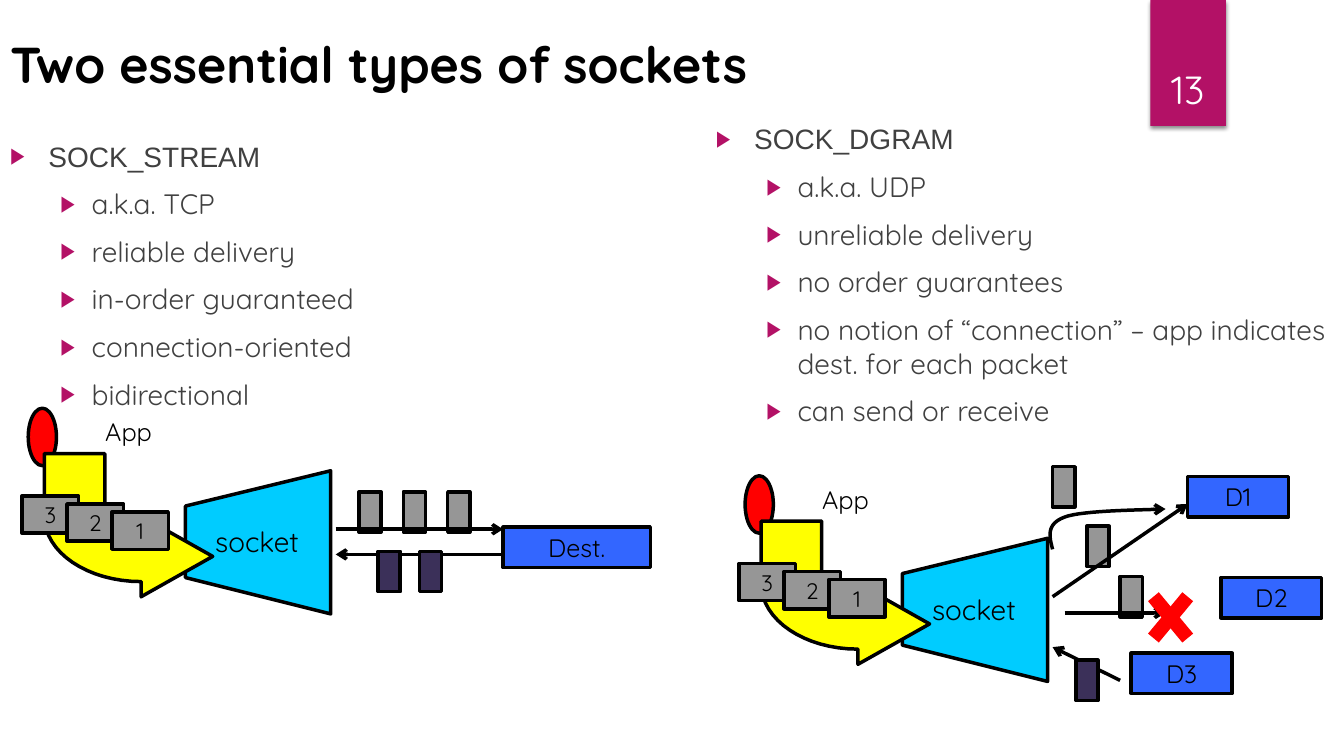
"""Build a slide comparing stream and datagram sockets."""
from lxml import etree
from pptx import Presentation
from pptx import util as u
from pptx.dml.color import RGBColor
from pptx.enum import shapes, text
from pptx.oxml.ns import qn

BLACK, GRAY, NAVY, BLUE = "000000", "969696", "3B3059", "3366FF"
RED, YELLOW, CYAN, MAGENTA, WHITE = "FF0000", "FFFF00", "00CCFF", "B31166", "FFFFFF"
RECT, OVAL = shapes.MSO_SHAPE.RECTANGLE, shapes.MSO_SHAPE.OVAL
MIDDLE, CENTER = text.MSO_ANCHOR.MIDDLE, text.PP_ALIGN.CENTER


def rgb(code):
    return RGBColor.from_string(code)


def sub(parent, tag, **attrs):
    return etree.SubElement(parent, qn(tag), attrs)


def curve(p0, p1, p2, p3, steps=16):
    points = []
    for i in range(1, steps + 1):
        t = i / steps
        weights = ((1 - t) ** 3, 3 * t * (1 - t) ** 2, 3 * t * t * (1 - t), t ** 3)
        points.append(tuple(sum(w * p[axis] for w, p in zip(weights, (p0, p1, p2, p3)))
                            for axis in (0, 1)))
    return points


class Deck:
    font = "Quicksand"
    stroke = 2.5

    def __init__(self):
        self.prs = Presentation()
        self.prs.slide_width, self.prs.slide_height = u.Inches(13.33), u.Inches(7.5)
        self.s = self.prs.slides.add_slide(self.prs.slide_layouts[3])
        self.shapes = self.s.shapes

    def group(self):
        self.shapes = self.s.shapes.add_group_shape().shapes

    def style_runs(self, p, size, color=BLACK, font=None, bold=False):
        for r in p.runs:
            r.font.name, r.font.size, r.font.bold = font or self.font, u.Pt(size), bold
            r.font.color.rgb = rgb(color)

    def place(self, sp, box):
        sp.left, sp.top, sp.width, sp.height = map(u.Inches, box)

    def title(self, box, wording):
        sp = self.s.shapes.title
        self.place(sp, box)
        tf = sp.text_frame
        tf.text = wording
        tf.auto_size, tf.vertical_anchor = text.MSO_AUTO_SIZE.NONE, MIDDLE
        tf.paragraphs[0].alignment = text.PP_ALIGN.LEFT
        self.style_runs(tf.paragraphs[0], 36, bold=True)

    def bullets(self, idx, box, items):
        sp = self.s.placeholders[idx]
        self.place(sp, box)
        tf = sp.text_frame
        tf.text = "\n".join(items)
        tf.auto_size = text.MSO_AUTO_SIZE.NONE
        for i, p in enumerate(tf.paragraphs):
            p.level = min(i, 1)
            p.space_before = u.Pt(10)
            self.style_runs(p, 20, "404040", None if i else "Arial")
            margin, indent = (0.81, -0.31) if i else (0.38, -0.38)
            pPr = p._p.get_or_add_pPr()
            pPr.set("marL", str(u.Inches(margin)))
            pPr.set("indent", str(u.Inches(indent)))
            sub(sub(pPr, "a:buClr"), "a:srgbClr", val=MAGENTA)
            sub(pPr, "a:buSzPct", val="80000")
            sub(pPr, "a:buChar", char="▶")

    def caption(self, sp, wording, size, color=BLACK, anchor=MIDDLE):
        tf = sp.text_frame
        tf.word_wrap, tf.vertical_anchor = True, anchor
        tf.margin_top = tf.margin_bottom = u.Inches(0.05 if anchor != MIDDLE else 0)
        tf.text = wording
        tf.paragraphs[0].alignment = CENTER
        self.style_runs(tf.paragraphs[0], size, color)

    def label(self, box, wording, size, color=BLACK, anchor=MIDDLE):
        sp = self.shapes.add_textbox(*map(u.Inches, box))
        self.caption(sp, wording, size, color, anchor)

    def outline(self, sp, color=BLACK, width=stroke, arrow=False):
        sp.line.color.rgb, sp.line.width = rgb(color), u.Pt(width)
        if arrow:
            sub(sp.element.spPr.find(qn("a:ln")), "a:tailEnd", type="arrow")

    def shape(self, box, fill, wording=None, size=18, kind=RECT):
        sp = self.shapes.add_shape(kind, *map(u.Inches, box))
        sp.shadow.inherit = False
        sp.fill.solid()
        sp.fill.fore_color.rgb = rgb(fill)
        self.outline(sp)
        if wording:
            self.caption(sp, wording, size)
        return sp

    def banner(self, box, fill):
        sp = self.shape(box, fill)
        sp.line.fill.background()
        effects = sp.element.spPr.find(qn("a:effectLst"))
        shadow = sub(effects, "a:outerShdw", blurRad=str(u.Pt(3)), dist=str(u.Pt(2)),
                     dir="5400000", rotWithShape="0")
        sub(sub(shadow, "a:srgbClr", val=BLACK), "a:alpha", val="45000")

    def freeform(self, points, fill=None):
        pts = [(u.Inches(x), u.Inches(y)) for x, y in points]
        builder = self.shapes.build_freeform(*pts[0])
        builder.add_line_segments(pts[1:], close=bool(fill))
        sp = builder.convert_to_shape()
        sp.shadow.inherit = False
        if fill:
            sp.fill.solid()
            sp.fill.fore_color.rgb = rgb(fill)
        else:
            sp.fill.background()
        self.outline(sp, arrow=not fill)

    def line(self, start, end, color=BLACK, width=stroke, arrow=True):
        sp = self.shapes.add_connector(shapes.MSO_CONNECTOR.STRAIGHT,
                                       *map(u.Inches, start + end))
        self.outline(sp, color, width, arrow)
        sub(sp.element.spPr, "a:effectLst")

    def packet(self, x, y, fill=GRAY):
        self.shape((x, y, 0.22, 0.4), fill)

    def sender(self, dx, dy):
        def shift(points):
            return [(x + dx, y + dy) for x, y in points]

        self.shape((0.28 + dx, 4.05 + dy, 0.28, 0.57), RED, kind=OVAL)
        self.label((0.22 + dx, 4.08 + dy, 2.11, 0.4), "App", 18)
        self.freeform(shift([(3.28, 4.67), (1.84, 5.02), (1.84, 5.73), (3.28, 6.09)]), CYAN)
        self.label((1.33 + dx, 5.16 + dy, 2.44, 0.43), "socket", 20)
        outer = curve((1.4, 5.77), (0.87, 5.77), (0.44, 5.48), (0.44, 5.12))
        inner = curve((1.04, 5.12), (1.04, 5.2), (1.2, 5.27), (1.4, 5.27))
        self.freeform(shift([(2.11, 5.52), (1.4, 5.92), (1.4, 5.77), *outer, (0.44, 4.5),
                             (1.04, 4.5), (1.04, 5.12), *inner, (1.4, 5.12)]), YELLOW)
        for i, number in enumerate("321"):
            self.shape((0.22 + 0.445 * i + dx, 4.92 + 0.08 * i + dy, 0.56, 0.37),
                       GRAY, number, 16)


def main():
    d = Deck()
    d.banner((11.41, 0, 0.75, 1.25), MAGENTA)
    d.label((11.32, 0.32, 0.92, 0.84), "13", 28, WHITE, text.MSO_ANCHOR.BOTTOM)
    d.title((0, 0, 11.33, 1.25), "Two essential types of sockets")
    d.bullets(1, (0, 1.33, 5.56, 5.59), [
        "SOCK_STREAM", "a.k.a. TCP", "reliable delivery", "in-order guaranteed",
        "connection-oriented", "bidirectional"])
    d.bullets(2, (7, 1.16, 6.33, 5.75), [
        "SOCK_DGRAM", "a.k.a. UDP", "unreliable delivery", "no order guarantees",
        "no notion of “connection” – app indicates dest. for each packet",
        "can send or receive"])

    d.group()
    d.sender(0, 0)
    for x in (3.56, 4, 4.44):
        d.packet(x, 4.88)
    d.line((3.33, 5.25), (4.99, 5.25))
    d.shape((4.99, 5.23, 1.46, 0.4), BLUE, "Dest.")
    d.line((4.99, 5.5), (3.33, 5.5))
    for x in (3.75, 4.16):
        d.packet(x, 5.47, NAVY)

    d.group()
    d.sender(7.11, 0.67)
    for x, y in ((10.44, 4.63), (10.78, 5.22), (11.11, 5.72)):
        d.packet(x, y)
    d.line((10.44, 5.92), (11.78, 5))
    for x, y, name in ((11.78, 4.73, "D1"), (11.22, 6.48, "D3"), (12.11, 5.73, "D2")):
        d.shape((x, y, 1, 0.4), BLUE, name)
    d.freeform([(10.44, 5.45),
                *curve((10.44, 5.45), (10.41, 5.33), (10.37, 5.2), (10.56, 5.13)),
                *curve((10.56, 5.13), (10.74, 5.06), (11.39, 5.06), (11.56, 5.05))])
    d.line((10.56, 6.08), (11.56, 6.08))
    for x1, x2 in ((11.44, 11.78), (11.78, 11.44)):
        d.line((x1, 5.92), (x2, 6.33), RED, 10, arrow=False)
    d.line((11.11, 6.75), (10.44, 6.42))
    d.packet(10.67, 6.55, NAVY)
    d.prs.save("out.pptx")


if __name__ == "__main__":
    main()
